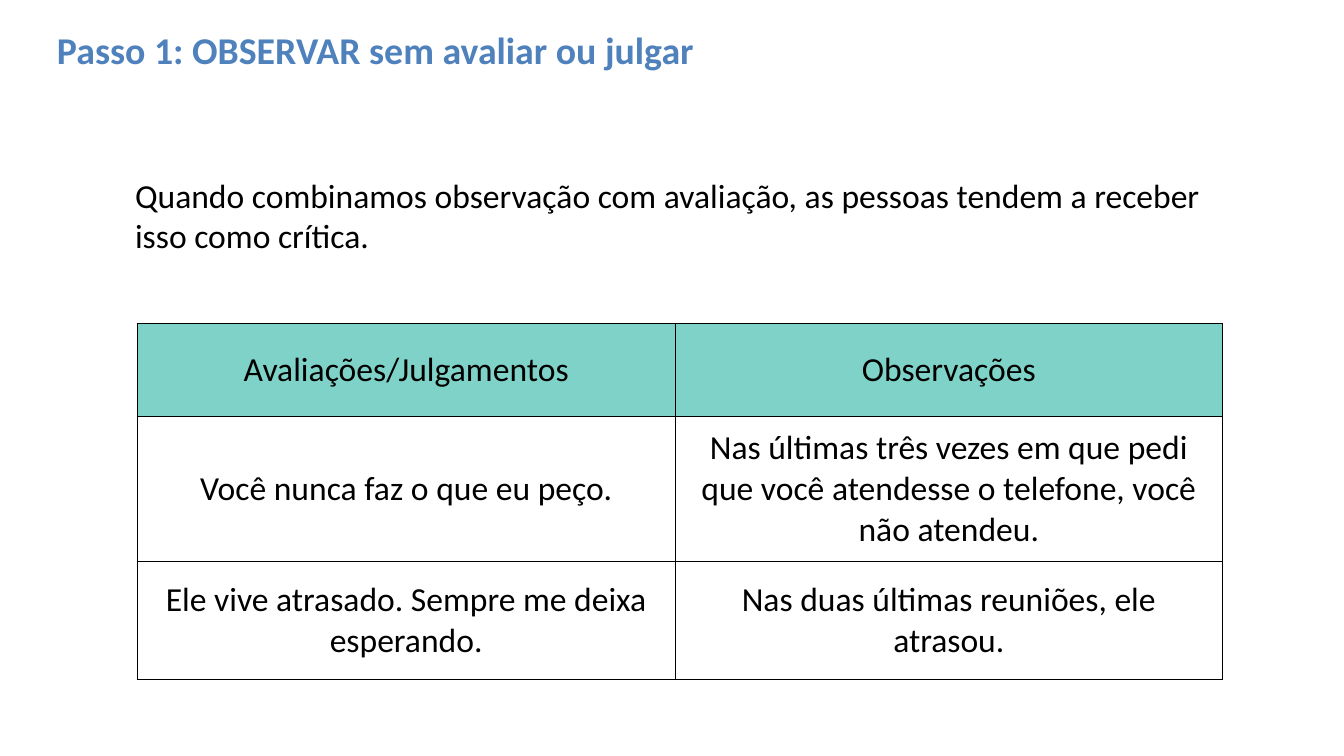
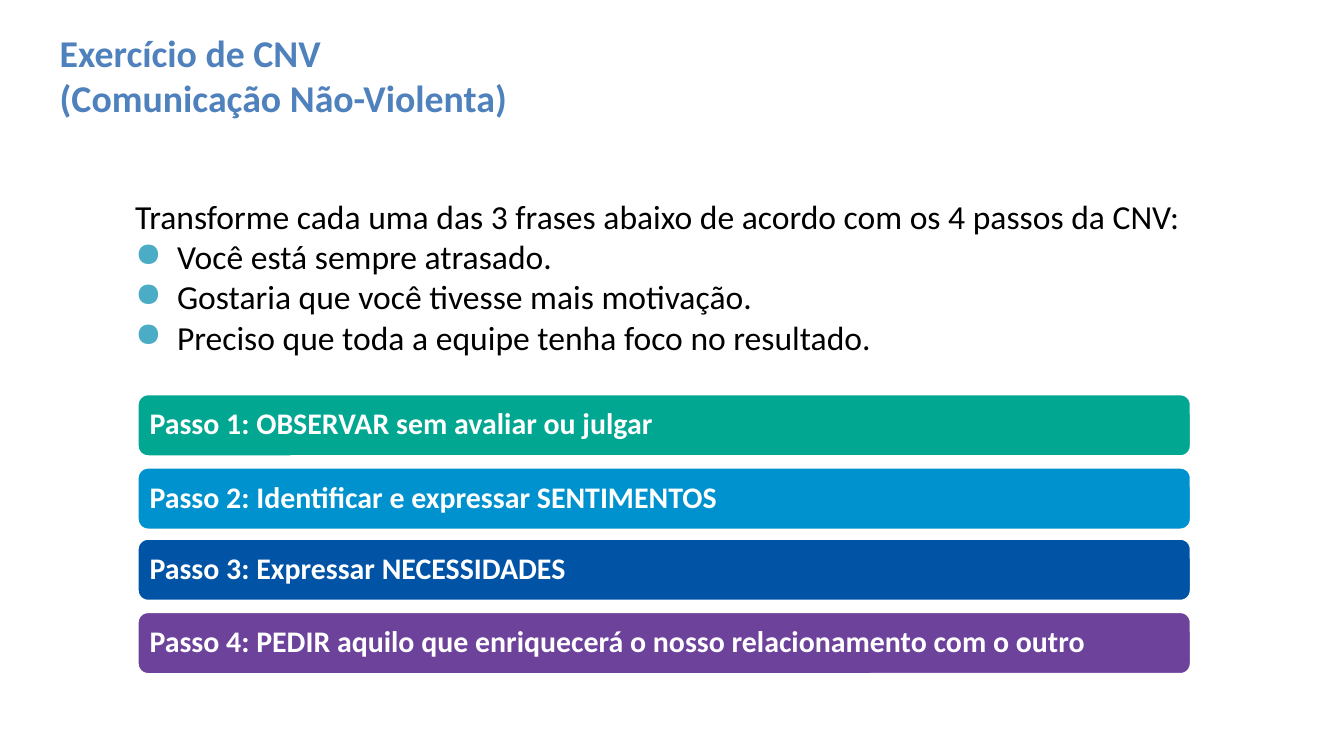
from lxml import etree
from pptx import Presentation
from pptx import util as u
from pptx.dml.color import RGBColor
from pptx.enum import shapes, text
from pptx.oxml import ns

FONT = "Calibri"
BLACK, WHITE, TITLE_BLUE, BULLET_BLUE = "000000", "FFFFFF", "4F81BD", "4BACC6"
GREEN, SKY, NAVY, PURPLE = "01A791", "0092CE", "0153A5", "6D429B"
BODY_SIZE = 36


def color(value):
    return RGBColor.from_string(value)


def write(frame, paragraphs, size, ink, bold=False, margins=(0, 0),
          anchor=text.MSO_ANCHOR.TOP, align=text.PP_ALIGN.LEFT):
    """Fill a text frame or table cell; a line feed becomes a line break."""
    frame.margin_left = frame.margin_right = u.Pt(margins[0])
    frame.margin_top = frame.margin_bottom = u.Pt(margins[1])
    frame.vertical_anchor = anchor
    text_frame = getattr(frame, "text_frame", frame)
    text_frame.word_wrap = True
    for index, content in enumerate(paragraphs):
        paragraph = text_frame.add_paragraph() if index else text_frame.paragraphs[0]
        paragraph.alignment = align
        for number, line in enumerate(content.split("\n")):
            if number:
                paragraph.add_line_break()
            run = paragraph.add_run()
            run.text = line
            run.font.name = FONT
            run.font.size = u.Pt(size)
            run.font.bold = bold
            run.font.color.rgb = color(ink)
    return text_frame.paragraphs


presentation = Presentation()
presentation.slide_width, presentation.slide_height = u.Pt(1440), u.Pt(810)

# Title and body text of each slide
pages = [
    ("Passo 1: OBSERVAR sem avaliar ou julgar", (54, 13.7, 1219, 78.5),
     ["Quando combinamos observação com avaliação, as pessoas tendem a receber isso como crítica."],
     (130.3, 172.8, 1219, 123.8)),
    ("Exercício de CNV\n(Comunicação Não-Violenta)", (56.9, 0, 1347, 159.8),
     ["Transforme cada uma das 3 frases abaixo de acordo com os 4 passos da CNV:",
      "Você está sempre atrasado.",
      "Gostaria que você tivesse mais motivação.",
      "Preciso que toda a equipe tenha foco no resultado."],
     (130.3, 195.1, 1219, 504.7)),
]
slides = []
for title, title_place, body, body_place in pages:
    slide = presentation.slides.add_slide(presentation.slide_layouts[6])
    slides.append(slide)
    body_box = slide.shapes.add_textbox(*map(u.Pt, body_place))
    paragraphs = write(body_box.text_frame, body, BODY_SIZE, BLACK, margins=(14.4, 14.4))
    title_box = slide.shapes.add_textbox(*map(u.Pt, title_place))
    write(title_box.text_frame, [title], 40.5, TITLE_BLUE, True, (7.2, 3.6),
          text.MSO_ANCHOR.MIDDLE)

    # Every paragraph after the first is a bullet
    for paragraph in paragraphs[1:]:
        properties = paragraph._p.get_or_add_pPr()
        properties.set("marL", str(u.Pt(45)))
        properties.set("indent", str(-u.Pt(45)))
        bullet_color = etree.SubElement(properties, ns.qn("a:buClr"))
        etree.SubElement(bullet_color, ns.qn("a:srgbClr"), val=BULLET_BLUE)
        etree.SubElement(properties, ns.qn("a:buChar"), char="●")

table_slide, exercise_slide = slides

# Judgements and observations table
rows = [
    ("Avaliações/Julgamentos", "Observações"),
    ("Você nunca faz o que eu peço.",
     "Nas últimas três vezes em que pedi que você atendesse o telefone, você não atendeu."),
    ("Ele vive atrasado. Sempre me deixa esperando.",
     "Nas duas últimas reuniões, ele atrasou."),
]
table = table_slide.shapes.add_table(
    3, 2, u.Pt(146.9), u.Pt(347), u.Pt(1162.8), u.Pt(380.9)).table
table.first_row = table.horz_banding = False
for column, width in zip(table.columns, (576.7, 586.1)):
    column.width = u.Pt(width)
for row, height in zip(table.rows, (98.7, 156.2, 126)):
    row.height = u.Pt(height)
for row_index, row in enumerate(rows):
    for column_index, content in enumerate(row):
        cell = table.cell(row_index, column_index)
        write(cell, [content], BODY_SIZE, BLACK, margins=(10.8, 3.6),
              anchor=text.MSO_ANCHOR.MIDDLE, align=text.PP_ALIGN.CENTER)
        properties = cell._tc.get_or_add_tcPr()
        for side in ("lnL", "lnR", "lnT", "lnB"):
            border = etree.SubElement(properties, ns.qn(f"a:{side}"), w=str(u.Pt(0.96)))
            border_fill = etree.SubElement(border, ns.qn("a:solidFill"))
            etree.SubElement(border_fill, ns.qn("a:srgbClr"), val=BLACK)
        if row_index:
            cell.fill.background()
        else:
            cell.fill.solid()
            cell.fill.fore_color.rgb = color(GREEN)
            header_color = properties.find(ns.qn("a:solidFill"))[0]
            etree.SubElement(header_color, ns.qn("a:alpha"), val="50000")

# The four steps as coloured bars
steps = [
    ("Passo 1: OBSERVAR sem avaliar ou julgar", GREEN, 422.6),
    ("Passo 2: Identificar e expressar SENTIMENTOS", SKY, 501.1),
    ("Passo 3: Expressar NECESSIDADES", NAVY, 577.4),
    ("Passo 4: PEDIR aquilo que enriquecerá o nosso relacionamento com o outro", PURPLE, 655.9),
]
for label, fill, top in steps:
    bar = exercise_slide.shapes.add_shape(
        shapes.MSO_SHAPE.ROUNDED_RECTANGLE, u.Pt(147.6), u.Pt(top), u.Pt(1128.2), u.Pt(66.2))
    bar.shadow.inherit = False
    bar.fill.solid()
    bar.fill.fore_color.rgb = color(fill)
    bar.line.color.rgb = color(WHITE)
    bar.line.width = u.Pt(2)
    paragraph = write(bar.text_frame, [label], 32, WHITE, True, (9.4, 9.4),
                      text.MSO_ANCHOR.MIDDLE)[0]
    paragraph.line_spacing = 0.9

presentation.save("out.pptx")
